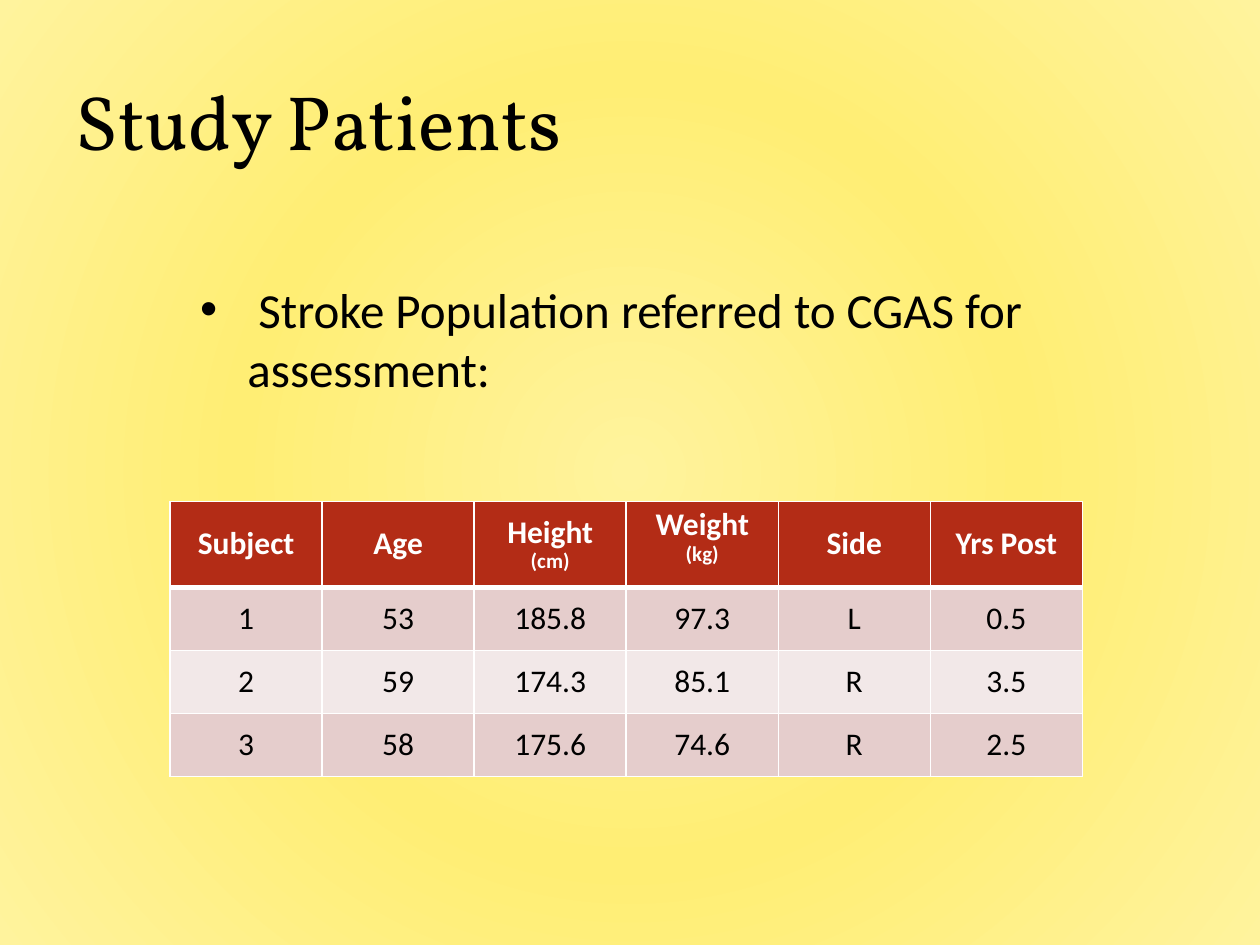
from pptx import Presentation
from pptx.dml.color import RGBColor as RGB
from pptx.enum.text import MSO_ANCHOR as Anchor, PP_ALIGN as Align
from pptx.oxml import parse_xml
from pptx.oxml.ns import nsdecls
from pptx.util import Pt

TITLE = "Study Patients"
# One en space sets the text off from the bullet on the first line only.
POINT = " Stroke Population referred to CGAS for assessment:"
HEAD = ["Subject", "Age", ("Height ", "(cm)"), ("Weight ", "(kg)"), "Side", "Yrs Post"]
ROWS = [
    ["1", "53", "185.8", "97.3", "L", "0.5"],
    ["2", "59", "174.3", "85.1", "R", "3.5"],
    ["3", "58", "175.6", "74.6", "R", "2.5"],
]
COLORS = {"ink": "000000", "white": "FFFFFF", "head": "B32C16", "odd": "E5CDCC",
          "even": "F2E8E8", "pale": "FFF39D", "deep": "FFEE74"}
LEFT, TOP, COL_W, HEAD_H, ROW_H = 97.2, 286.7, 86.9, 49, 36


def write(frame, parts, size=18, font="Calibri", color="ink", bold=False,
          align=Align.LEFT, anchor=Anchor.MIDDLE, line=None):
    """Fill a frame with one paragraph; parts after the first are 12 pt units."""
    frame.word_wrap = True
    frame.vertical_anchor = anchor
    para = frame.paragraphs[0]
    para.alignment = align
    para.line_spacing = line
    for i, part in enumerate([parts] if isinstance(parts, str) else parts):
        run = para.add_run()
        run.text = part
        run.font.size = Pt(12 if i else size)
        run.font.name = font
        run.font.bold = bold
        run.font.color.rgb = RGB.from_string(COLORS[color])
    return para


def paint(slide):
    """Give the slide a circular gradient background."""
    stops = "".join(
        f'<a:gs pos="{pos * 1000}"><a:srgbClr val="{COLORS[name]}"/></a:gs>'
        for pos, name in [(0, "pale"), (50, "deep"), (100, "pale")])
    slide.element.cSld.insert(0, parse_xml(
        f'<p:bg {nsdecls("p", "a")}><p:bgPr><a:gradFill><a:gsLst>{stops}</a:gsLst>'
        '<a:path path="circle"><a:fillToRect l="50000" t="50000" r="50000" b="50000"/>'
        '</a:path></a:gradFill><a:effectLst/></p:bgPr></p:bg>'))


def bullet(para, indent):
    props = para._p.get_or_add_pPr()
    props.set("marL", str(Pt(indent)))
    props.set("indent", str(-Pt(indent)))
    for tag in ('buFont {} typeface="Arial"', 'buChar {} char="•"'):
        props.append(parse_xml(f"<a:{tag.format(nsdecls('a'))}/>"))


def edge(cell, low):
    """Draw white borders of 1 pt, with the bottom one low pt wide."""
    props = cell._tc.get_or_add_tcPr()
    for side, width in zip("LRTB", (1, 1, 1, low)):
        props.append(parse_xml(
            f'<a:ln{side} {nsdecls("a")} w="{Pt(width)}"><a:solidFill>'
            f'<a:srgbClr val="{COLORS["white"]}"/></a:solidFill></a:ln{side}>'))


def grid(slide):
    rows = [HEAD] + ROWS
    table = slide.shapes.add_table(
        len(rows), len(HEAD), Pt(LEFT), Pt(TOP), Pt(COL_W * len(HEAD)),
        Pt(HEAD_H + ROW_H * len(ROWS))).table
    for col in table.columns:
        col.width = Pt(COL_W)
    for r, row in enumerate(rows):
        top = r == 0
        table.rows[r].height = Pt(HEAD_H if top else ROW_H)
        fill = "head" if top else "odd" if r % 2 else "even"
        for c, text in enumerate(row):
            cell = table.cell(r, c)
            edge(cell, 3 if top else 1)
            cell.fill.solid()
            cell.fill.fore_color.rgb = RGB.from_string(COLORS[fill])
            write(cell.text_frame, text, color="white" if top else "ink",
                  bold=top, align=Align.CENTER, line=0.9)
            high = top and text[0] == "Weight "
            cell.vertical_anchor = Anchor.TOP if high else Anchor.MIDDLE


def main():
    deck = Presentation()
    deck.slide_width, deck.slide_height = Pt(720), Pt(540)
    slide = deck.slides.add_slide(deck.slide_layouts[5])
    paint(slide)
    title = slide.shapes.title
    title.left, title.top, title.width, title.height = map(Pt, (36, 5.8, 648, 124.6))
    write(title.text_frame, TITLE, size=44, font="Vollkorn")
    body = slide.shapes.add_textbox(*map(Pt, (107.3, 156.2, 504.7, 326.2)))
    para = write(body.text_frame, POINT, size=28, anchor=Anchor.TOP)
    para.space_before = Pt(18)
    bullet(para, 27)
    grid(slide)
    deck.save("out.pptx")


if __name__ == "__main__":
    main()
